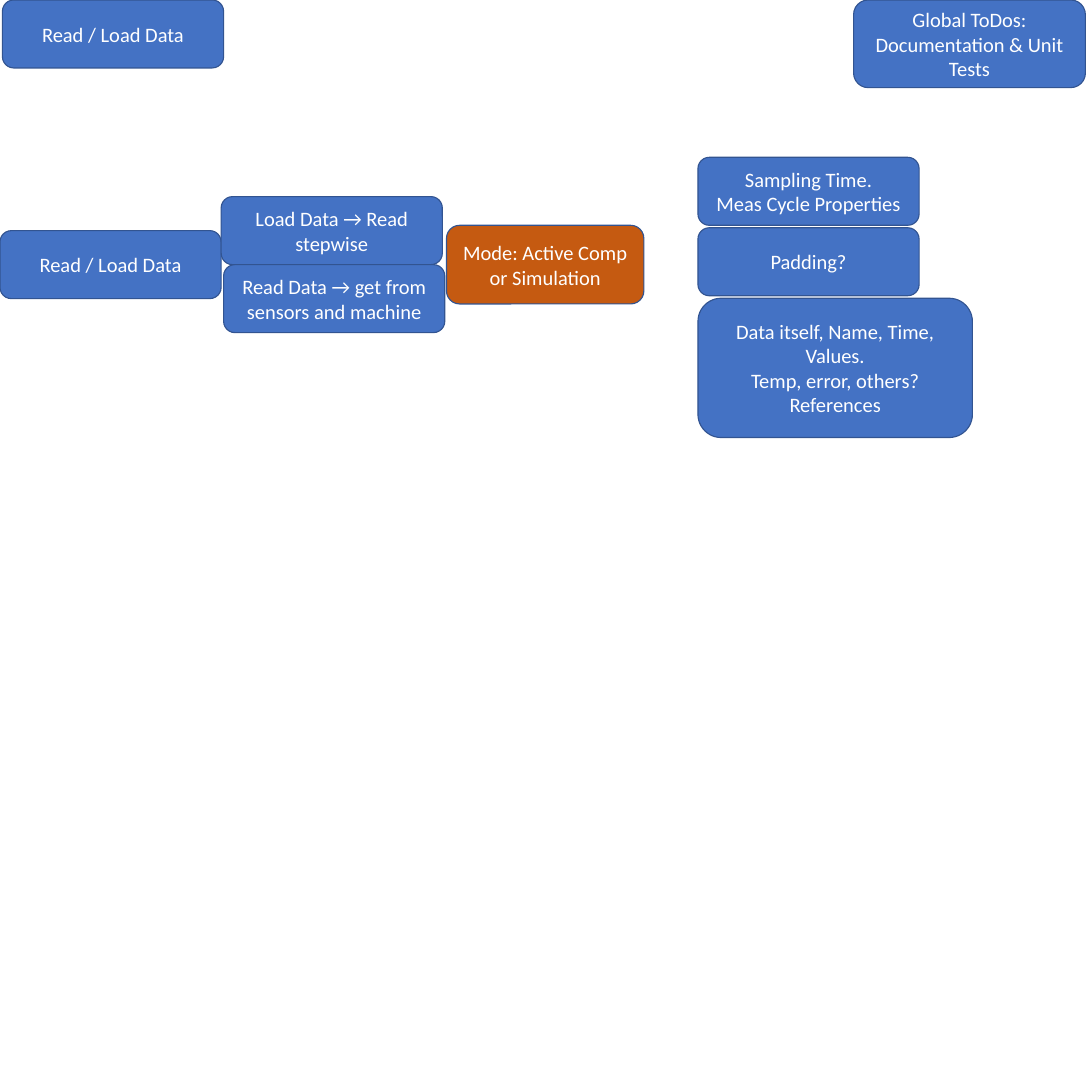
from pptx import Presentation
from pptx.dml.color import RGBColor
from pptx.enum.shapes import MSO_SHAPE
from pptx.enum.text import MSO_ANCHOR, PP_ALIGN
from pptx.util import Inches, Pt

BLUE = RGBColor(0x44, 0x72, 0xC4)
ORANGE = RGBColor(0xC5, 0x5A, 0x11)
OUTLINE = RGBColor(0x32, 0x54, 0x91)
WHITE = RGBColor(0xFF, 0xFF, 0xFF)

SLIDE_WIDTH, SLIDE_HEIGHT = 13.33, 13.01
STEP = (2.7, 0.83)  # size of a regular step box
STEP_WIDTH, STEP_HEIGHT = STEP
MODE = (2.41, 0.96)
TODO = (2.83, 1.07)
DATA = (3.35, 1.7)

# Content: text (\n new paragraph, \v line break), size, fill
process = ("Read / Load Data", STEP, BLUE)
load_step = ("Load Data → Read stepwise", STEP, BLUE)
read_step = ("Read Data → get from sensors and machine", STEP, BLUE)
mode = ("Mode: Active Comp or Simulation", MODE, ORANGE)
todos = ("Global ToDos:\vDocumentation & Unit Tests", TODO, BLUE)
properties = [
    ("Sampling Time.\vMeas Cycle Properties", STEP, BLUE),
    ("Padding?", STEP, BLUE),
    ("Data itself, Name, Time, Values.\nTemp, error, others?\vReferences", DATA, BLUE),
]

# Layout
INSET = 0.03
FLOW_TOP = 2.4
PROPERTIES_LEFT, PROPERTIES_TOP = 8.52, 1.92

presentation = Presentation()
presentation.slide_width = Inches(SLIDE_WIDTH)
presentation.slide_height = Inches(SLIDE_HEIGHT)
slide = presentation.slides.add_slide(presentation.slide_layouts[6])


def add_box(box, left, top):
    text, (width, height), fill = box
    shape = slide.shapes.add_shape(
        MSO_SHAPE.ROUNDED_RECTANGLE,
        Inches(left), Inches(top), Inches(width), Inches(height))
    shape.shadow.inherit = False
    shape.fill.solid()
    shape.fill.fore_color.rgb = fill
    shape.line.color.rgb = OUTLINE
    shape.line.width = Pt(1)
    text_frame = shape.text_frame
    text_frame.word_wrap = True
    text_frame.vertical_anchor = MSO_ANCHOR.MIDDLE
    text_frame.text = text
    for paragraph in text_frame.paragraphs:
        paragraph.alignment = PP_ALIGN.CENTER
        paragraph.font.name = "Calibri"
        paragraph.font.size = Pt(18)
        paragraph.font.color.rgb = WHITE


# Process flow, left to right
add_box(process, 0, FLOW_TOP + STEP_HEIGHT / 2)
add_box(load_step, STEP_WIDTH, FLOW_TOP)
add_box(mode, 2 * STEP_WIDTH + 0.05, FLOW_TOP + STEP_HEIGHT - MODE[1] / 2)
add_box(read_step, STEP_WIDTH + INSET, FLOW_TOP + STEP_HEIGHT)

# Top corners
add_box(todos, SLIDE_WIDTH - 0.08 - TODO[0], 0)
add_box(process, INSET, 0)

# Stack of data properties
top = PROPERTIES_TOP
for box in properties:
    add_box(box, PROPERTIES_LEFT, top)
    top += box[1][1] + INSET

presentation.save("out.pptx")
